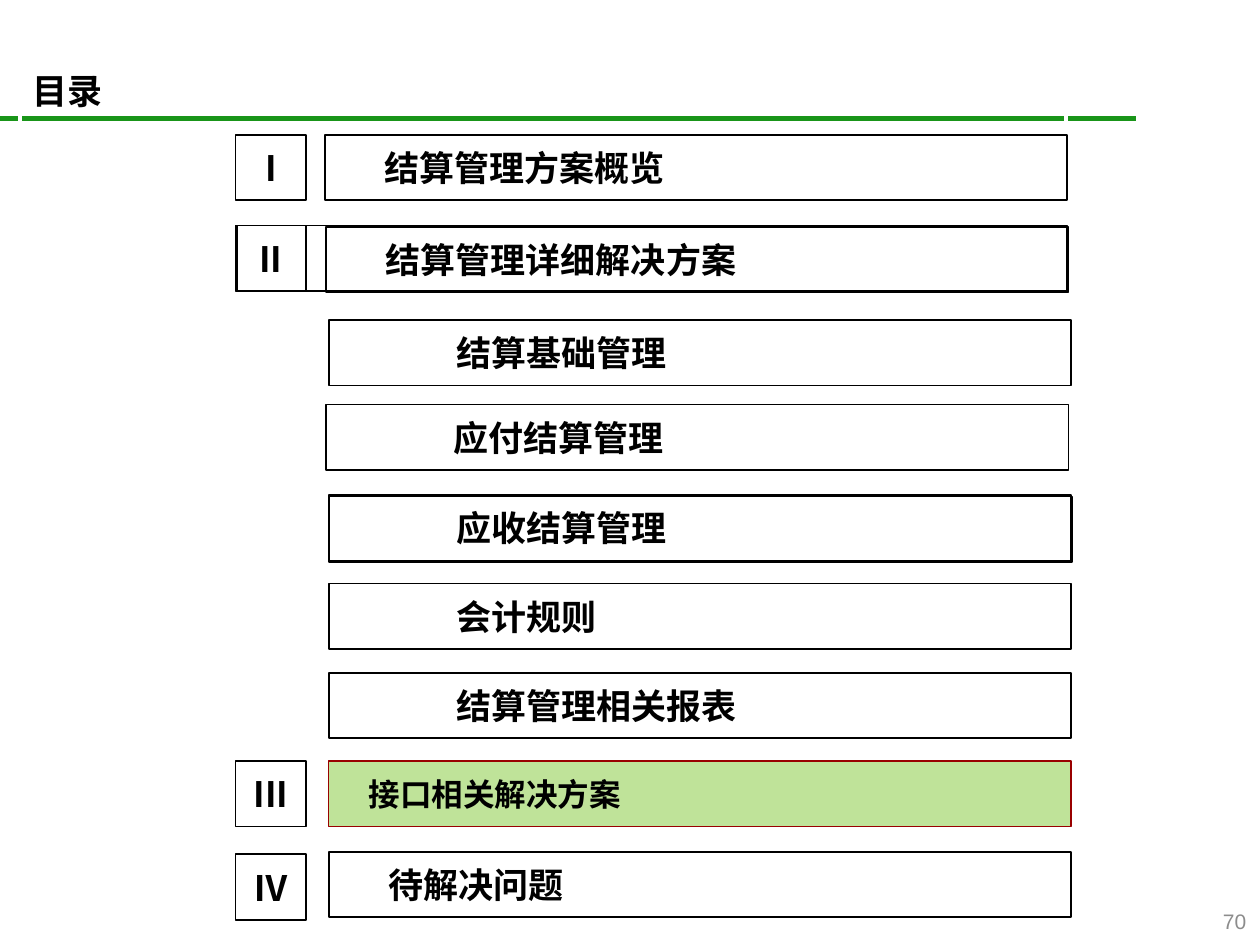
import pptx
import pptx.util
import pptx.dml.color
import pptx.enum.shapes
import pptx.enum.text
import pptx.oxml.ns
import lxml.etree

COLORS = {
    "text": "000000", "rule": "199519", "title_edge": "FFFFFF",
    "page": "8C8C8C", "active": "92D050", "active_edge": "990000",
}
CJK = "Noto Sans CJK SC"
COLS, ROWS = 100, 75
BAR_W, BAR_H = 58.9, 5.2
NUM_X, NUM_W = 18.7, 5.6
CHAPTER, SECTION = 0.39, 0.93  # left indents in inches

# left column, top row, wording, indent
BARS = [
    (25.8, 10.7, "结算管理方案概览", CHAPTER),
    (25.9, 18.0, "结算管理详细解决方案", CHAPTER),
    (26.1, 25.4, "结算基础管理", SECTION),
    (25.9, 32.1, "应付结算管理", SECTION),
    (26.1, 39.3, "应收结算管理", SECTION),
    (26.1, 46.3, "会计规则", SECTION),
    (26.1, 53.4, "结算管理相关报表", SECTION),
    (26.1, 67.6, "待解决问题", CHAPTER),
]
NUMERALS = [(10.7, "I"), (17.9, "II"), (60.4, "III"), (67.8, "Ⅳ")]


class Deck:
    def __init__(self):
        self.prs = pptx.Presentation()
        self.prs.slide_width = pptx.util.Inches(10)
        self.prs.slide_height = pptx.util.Inches(7.5)
        self.s = self.prs.slides.add_slide(self.prs.slide_layouts[6])

    def x(self, col):
        return round(self.prs.slide_width * col / COLS)

    def y(self, row):
        return round(self.prs.slide_height * row / ROWS)

    def area(self, col, row, w, h):
        return self.x(col), self.y(row), self.x(w), self.y(h)

    def color(self, name):
        return pptx.dml.color.RGBColor.from_string(COLORS[name])

    def rule(self, col1, col2, row):
        sp = self.s.shapes.add_connector(
            pptx.enum.shapes.MSO_CONNECTOR.STRAIGHT,
            self.x(col1), self.y(row), self.x(col2), self.y(row))
        sp.line.color.rgb = self.color("rule")
        sp.line.width = pptx.util.Pt(3)
        lxml.etree.SubElement(sp._element.spPr, pptx.oxml.ns.qn("a:effectLst"))

    def box(self, col, row, w, h, edge="text", weight=1, fill=None, alpha=100):
        sp = self.s.shapes.add_shape(
            pptx.enum.shapes.MSO_SHAPE.RECTANGLE, *self.area(col, row, w, h))
        sp.shadow.inherit = False
        sp.line.color.rgb = self.color(edge)
        sp.line.width = pptx.util.Pt(weight)
        if fill:
            sp.fill.solid()
            sp.fill.fore_color.rgb = self.color(fill)
            solid = sp._element.spPr.find(pptx.oxml.ns.qn("a:solidFill"))
            lxml.etree.SubElement(
                solid[0], pptx.oxml.ns.qn("a:alpha"), val=str(alpha * 1000))
        else:
            sp.fill.background()
        return sp

    def label(self, sp, text, size=20, font=CJK, color="text", bold=True,
              align="LEFT", insets=(0.1, 0.05), indent=(0, 0), wrap=True):
        """Fill sp with one line; insets are (sides, top and bottom) in inches."""
        tf = sp.text_frame
        tf.word_wrap = wrap
        tf.vertical_anchor = pptx.enum.text.MSO_ANCHOR.MIDDLE
        tf.margin_left = tf.margin_right = pptx.util.Inches(insets[0])
        tf.margin_top = tf.margin_bottom = pptx.util.Inches(insets[1])
        p = tf.paragraphs[0]
        p.alignment = pptx.enum.text.PP_ALIGN[align]
        pPr = p._p.get_or_add_pPr()
        for key, inches in zip(("marL", "indent"), indent):
            pPr.set(key, str(int(pptx.util.Inches(inches))))
        r = p.add_run()
        r.text = text
        r.font.size = pptx.util.Pt(size)
        r.font.bold = bold
        r.font.name = font
        r.font.color.rgb = self.color(color)
        lxml.etree.SubElement(
            r._r.get_or_add_rPr(), pptx.oxml.ns.qn("a:ea"), typeface=CJK)

    def bar(self, col, row, text, indent):
        self.label(self.box(col, row, BAR_W, BAR_H), text,
                   insets=(0.08, 0.08), indent=(indent, 0), wrap=False)

    def numeral(self, row, text):
        self.label(self.box(NUM_X, row, NUM_W, BAR_H), text, align="CENTER",
                   insets=(0, 0.05), indent=(0.2, -0.2), wrap=False)

    def active_bar(self, col, row, text):
        sp = self.box(col, row, BAR_W, BAR_H, "active_edge", 0.75, "active", 58)
        self.label(sp, text, size=18, font="Arial", indent=(0.22, 0))

    def page_number(self, text):
        sp = self.s.shapes.add_textbox(*self.area(94.3, 71.4, 5.6, 3.4))
        self.label(sp, text, 12, "Arial", "page", bold=False, align="RIGHT")


def main():
    deck = Deck()
    deck.rule(0, 90.2, 9.4)
    deck.box(18.8, 17.9, 65.9, BAR_H)  # frame around chapter II
    deck.label(deck.box(1.6, 4, 83, 6.3, "title_edge", 2), "目录")
    deck.page_number("70")
    for bar in BARS:
        deck.bar(*bar)
    for numeral in NUMERALS:
        deck.numeral(*numeral)
    deck.active_bar(26.1, 60.4, "接口相关解决方案")
    deck.box(26.1, 39.4, 59, BAR_H)  # second outline of the receivables bar
    deck.prs.save("out.pptx")


if __name__ == "__main__":
    main()
